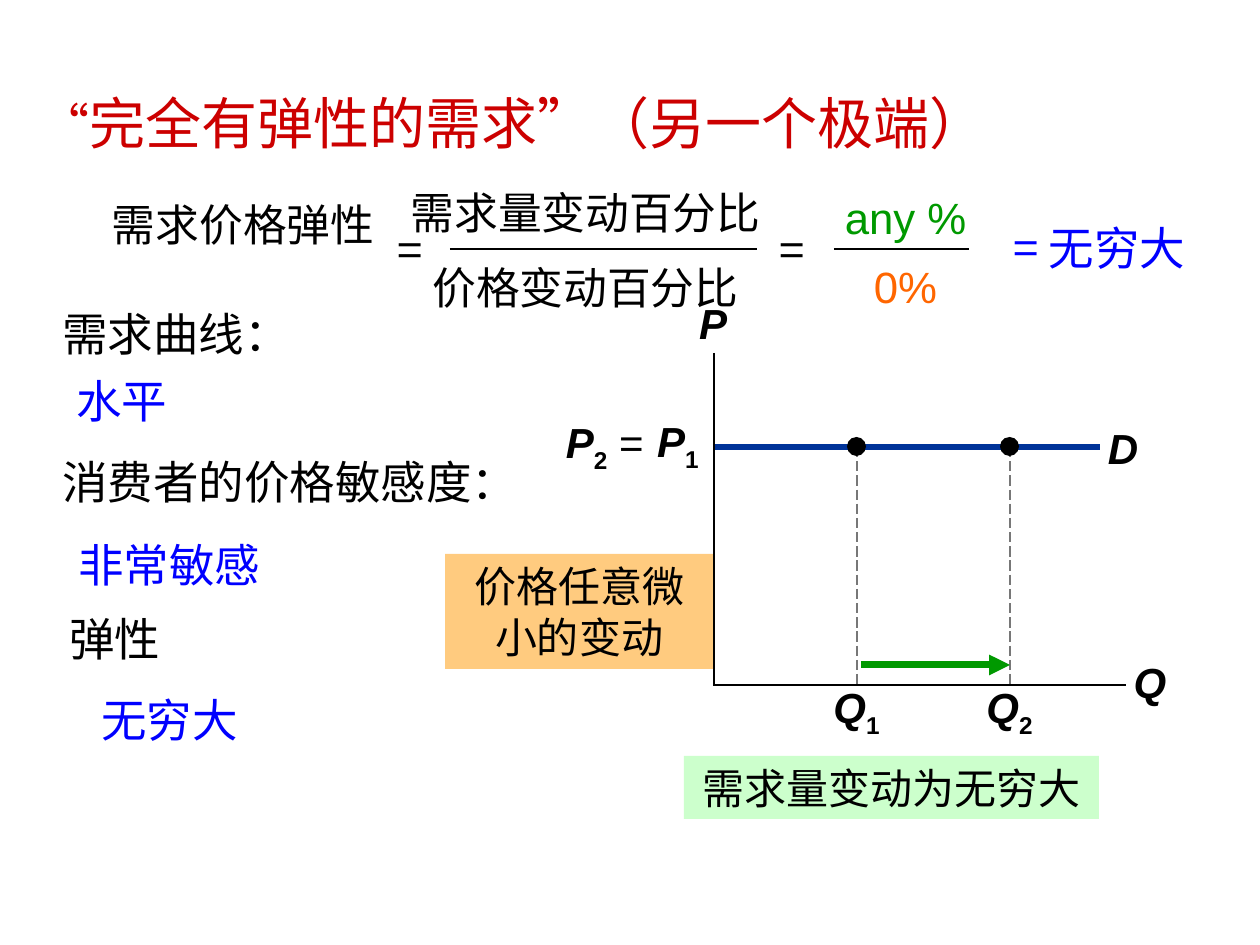
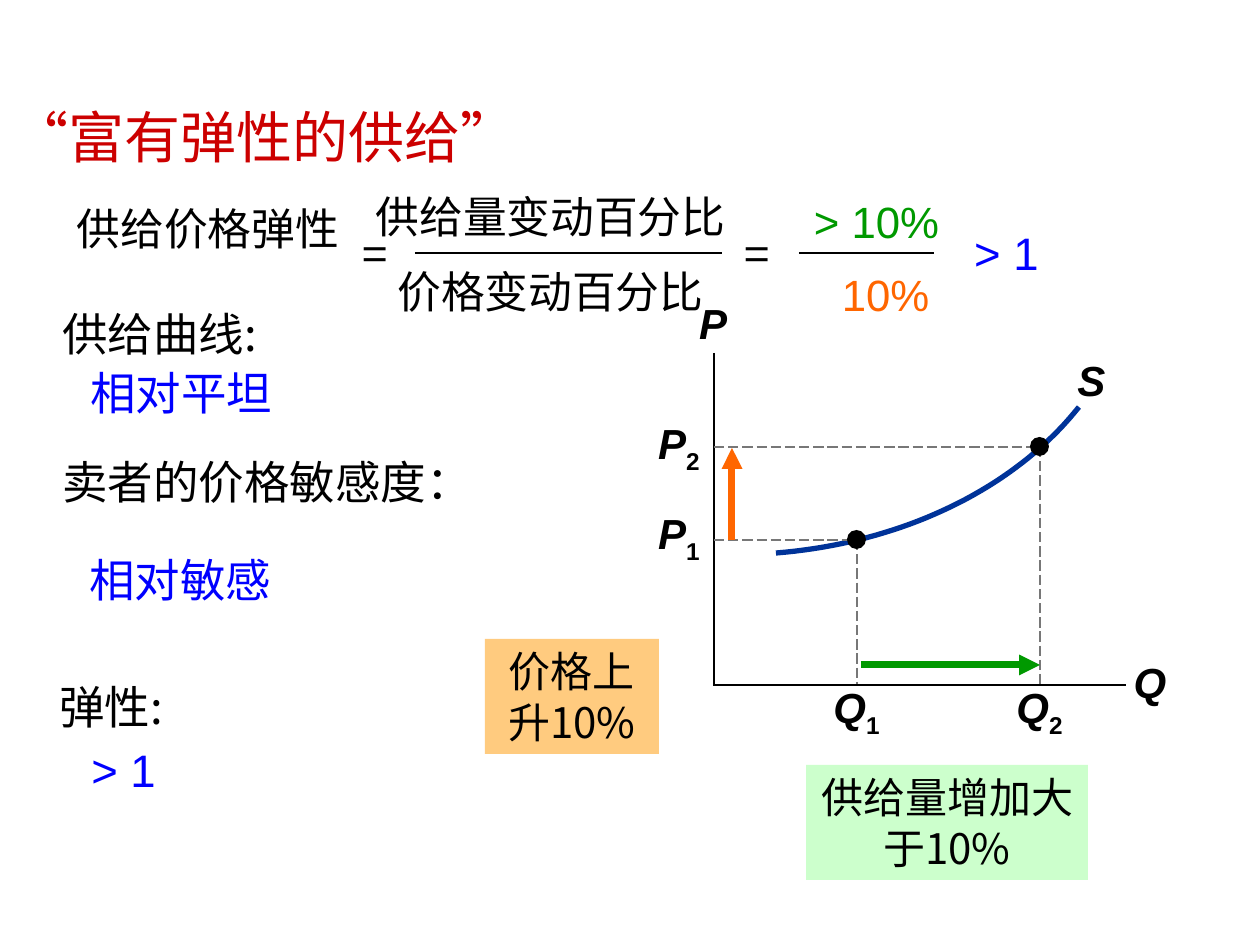
from dataclasses import dataclass

from lxml.etree import SubElement
from pptx import Presentation
from pptx.dml.color import RGBColor
from pptx.enum.dml import MSO_LINE_DASH_STYLE as Dash
from pptx.enum.shapes import MSO_CONNECTOR as Link, MSO_SHAPE as Preset
from pptx.enum.text import MSO_ANCHOR as Anchor, PP_ALIGN as Align
from pptx.oxml.ns import qn
from pptx.util import Emu, Pt

SCALE = 914400 / 126
LATIN = "Arial"
CHINESE = "Noto Sans CJK SC"
BLACK, WHITE, GREY = "000000", "FFFFFF", "777777"
RED, BLUE, NAVY = "CC0000", "0000FF", "003399"
GREEN, ORANGE = "009900", "FF6600"
MINT, AMBER = "CCFFCC", "FF9900"
LINE_HEIGHT = 1.215
AXIS_X, AXIS_Y = 714, 685
QUANTITY_ARROW_Y = 665


@dataclass
class Span:
    text: str
    size: float = 24
    font: str = LATIN
    color: str = BLACK
    bold: bool = False
    italic: bool = False
    baseline: int = 0


@dataclass
class Box:
    x: int
    y: int
    width: int
    height: int


@dataclass
class Caption:
    text: str
    box: Box
    color: str = BLACK
    font: str = CHINESE


@dataclass
class Point:
    x: int
    y: int


def px(length: float) -> Emu:
    return Emu(round(length * SCALE))


def rgb(color: str) -> RGBColor:
    return RGBColor.from_string(color)


def place(box: Box) -> tuple:
    return px(box.x), px(box.y), px(box.width), px(box.height)


def write(frame, paragraphs: list, align=Align.CENTER, leading: float = 1,
          anchor=Anchor.TOP, before: float = 0) -> None:
    frame.word_wrap = True
    frame.vertical_anchor = anchor
    for index, spans in enumerate(paragraphs):
        para = frame.paragraphs[0] if index == 0 else frame.add_paragraph()
        para.alignment = align
        para.line_spacing = Pt(round(max(span.size for span in spans) * LINE_HEIGHT * leading, 1))
        if index:
            para.space_before = Pt(before)
        for span in spans:
            run = para.add_run()
            run.text = span.text
            font = run.font
            font.name, font.size = span.font, Pt(span.size)
            font.bold, font.italic = span.bold, span.italic
            font.color.rgb = rgb(span.color)
            properties = run._r.get_or_add_rPr()
            SubElement(properties, qn("a:ea")).set("typeface", span.font)
            if span.baseline:
                properties.set("baseline", str(span.baseline * 1000))


def add_text(page, text: str, box: Box, *, size: float = 26, font: str = CHINESE,
             color: str = BLACK, **layout) -> None:
    frame = page.shapes.add_textbox(*place(box)).text_frame
    lines = [[Span(line, size, font, color)] for line in text.split("\n")]
    write(frame, lines, **layout)


def add_symbol(page, letter: str, box: Box, index: str = "", tail: str = "",
               align=Align.CENTER) -> None:
    spans = [Span(letter, bold=True, italic=True)]
    if index:
        spans.append(Span(index, bold=True, baseline=-25))
    if tail:
        spans.append(Span(tail))
    write(page.shapes.add_textbox(*place(box)).text_frame, [spans], align=align)


def add_line(page, start: Point, end: Point, *, color: str = BLACK, width: float = 1,
             dashed: bool = False, arrow: bool = False) -> None:
    line = page.shapes.add_connector(Link.STRAIGHT, px(start.x), px(start.y), px(end.x), px(end.y))
    line.line.color.rgb = rgb(color)
    line.line.width = Pt(width)
    if dashed:
        line.line.dash_style = Dash.LONG_DASH
    if arrow:
        SubElement(line.line._get_or_add_ln(), qn("a:tailEnd")).set("type", "triangle")
    SubElement(line._element.spPr, qn("a:effectLst"))


def add_guide(page, start: Point, end: Point) -> None:
    add_line(page, start, end, color=GREY, width=0.75, dashed=True)


def add_change(page, start: Point, end: Point, color: str) -> None:
    add_line(page, start, end, color=color, width=4, arrow=True)


def add_filled(page, preset, box: Box, color: str, opacity: int = 100):
    shape = page.shapes.add_shape(preset, *place(box))
    shape.shadow.inherit = False
    shape.fill.solid()
    shape.fill.fore_color.rgb = rgb(color)
    shape.line.fill.background()
    if opacity < 100:
        tint = shape._element.spPr.find(qn("a:solidFill"))[0]
        SubElement(tint, qn("a:alpha")).set("val", str(opacity * 1000))
    return shape


def add_dot(page, center: Point) -> None:
    add_filled(page, Preset.OVAL, Box(center.x - 10, center.y - 10, 19, 19), BLACK)


def add_note(page, text: str, box: Box, color: str, opacity: int = 100) -> None:
    shape = add_filled(page, Preset.RECTANGLE, box, color, opacity)
    write(shape.text_frame, [[Span(text, font=CHINESE)]])


def add_title(page, spans: list, x: int, y: int) -> None:
    frame = page.shapes.add_textbox(*place(Box(x, y, 1171, 86))).text_frame
    write(frame, [spans], align=Align.LEFT, anchor=Anchor.MIDDLE)


def add_axes(page) -> None:
    add_line(page, Point(AXIS_X, 353), Point(AXIS_X, AXIS_Y))
    add_line(page, Point(AXIS_X - 1, AXIS_Y), Point(1126, AXIS_Y))
    add_symbol(page, "P", Box(665, 291, 96, 63))
    add_symbol(page, "Q", Box(1102, 650, 96, 63))


def add_formula(page, subject: str, x: int, y: int) -> None:
    add_text(page, f"{subject}价格弹性", Box(x, y, 314, 63), size=25, leading=0.95)
    add_text(page, f"{subject}量变动百分比\n价格变动百分比", Box(x + 279, y - 14, 441, 145),
             size=25, before=12.5)
    for sign_x in (x + 293, x + 675):
        add_text(page, "=", Box(sign_x, y + 22, 63, 67))
    for left, right in ((364, 671), (748, 883)):
        add_line(page, Point(x + left, y + 56), Point(x + right, y + 56))


def add_values(page, top: Caption, bottom: Caption, result: Caption) -> None:
    for caption, size in ((top, 25), (bottom, 25), (result, 26)):
        add_text(page, caption.text, caption.box, size=size, font=caption.font,
                 color=caption.color)


def add_captions(page, captions: list) -> None:
    for caption in captions:
        add_text(page, caption.text, caption.box, font=caption.font, color=caption.color,
                 align=Align.LEFT, leading=1.05)


def add_curve(page, controls: list, steps: int = 40) -> None:
    a, b, c, d = controls

    def blend(t: float, axis: str) -> int:
        u = 1 - t
        weights = (u ** 3, 3 * u * u * t, 3 * u * t * t, t ** 3)
        return px(sum(w * getattr(point, axis) for w, point in zip(weights, (a, b, c, d))))

    points = [(blend(i / steps, "x"), blend(i / steps, "y")) for i in range(steps + 1)]
    builder = page.shapes.build_freeform(*points[0])
    builder.add_line_segments(points[1:], close=False)
    curve = builder.convert_to_shape()
    curve.shadow.inherit = False
    curve.fill.background()
    curve.line.color.rgb = rgb(NAVY)
    curve.line.width = Pt(3)


def build_demand(page) -> None:
    price_y = 447
    add_line(page, Point(AXIS_X - 1, price_y), Point(1100, price_y), color=NAVY, width=3)
    add_symbol(page, "D", Box(1082, 416, 82, 63))
    add_axes(page)
    add_symbol(page, "P", Box(622, 416, 89, 63), "1", align=Align.RIGHT)
    add_symbol(page, "P", Box(544, 417, 112, 63), "2", " =", align=Align.RIGHT)
    for index, x in (("1", 857), ("2", 1010)):
        add_symbol(page, "Q", Box(x - 41, 682, 81, 63), index)
        add_guide(page, Point(x, price_y), Point(x, AXIS_Y - 1))
        add_dot(page, Point(x, price_y))
    add_change(page, Point(861, QUANTITY_ARROW_Y), Point(1010, QUANTITY_ARROW_Y), GREEN)
    add_values(page, Caption("any %", Box(825, 184, 161, 66), GREEN, LATIN),
               Caption("0%", Box(825, 253, 161, 66), ORANGE, LATIN),
               Caption("= 无穷大", Box(976, 213, 247, 68), BLUE))
    add_title(page, [Span("“", 28, CHINESE, RED),
                     Span("完全有弹性的需求”（另一个极端）", 32, CHINESE, RED)], 28, 79)
    add_formula(page, "需求", 86, 193)
    add_note(page, "价格任意微小的变动", Box(445, 554, 268, 115), AMBER, 50)
    add_note(page, "需求量变动为无穷大", Box(684, 756, 415, 63), MINT)
    add_captions(page, [
        Caption("需求曲线：", Box(50, 296, 330, 73)),
        Caption("水平", Box(64, 363, 399, 73), BLUE),
        Caption("消费者的价格敏感度：", Box(50, 444, 467, 134)),
        Caption("非常敏感", Box(66, 527, 362, 68), BLUE),
        Caption("弹性", Box(57, 601, 223, 74)),
        Caption("无穷大", Box(89, 682, 252, 74), BLUE),
    ])


def build_supply(page) -> None:
    add_curve(page, [Point(1079, 407), Point(1014, 489), Point(902, 543), Point(776, 553)])
    add_symbol(page, "S", Box(1048, 348, 87, 63))
    add_axes(page)
    for index, point, label_y in (("1", Point(857, 540), 508), ("2", Point(1040, 447), 418)):
        add_symbol(page, "Q", Box(point.x - 41, 682, 81, 63), index)
        add_symbol(page, "P", Box(629, label_y, 83, 63), index, align=Align.RIGHT)
        add_guide(page, point, Point(point.x, AXIS_Y - 1))
        add_guide(page, Point(AXIS_X, point.y), point)
        add_dot(page, point)
    add_change(page, Point(732, 540), Point(732, 448), ORANGE)
    add_change(page, Point(861, QUANTITY_ARROW_Y), Point(1040, QUANTITY_ARROW_Y), GREEN)
    add_values(page, Caption("> 10%", Box(796, 188, 161, 66), GREEN, LATIN),
               Caption("10%", Box(805, 261, 161, 66), ORANGE, LATIN),
               Caption("> 1", Box(959, 218, 95, 67), BLUE, LATIN))
    add_title(page, [Span("“富有弹性的供给”", 32, CHINESE, RED)], 0, 93)
    add_formula(page, "供给", 51, 197)
    add_note(page, "供给量增加大于10%", Box(806, 765, 282, 115), MINT)
    add_note(page, "价格上升10%", Box(485, 639, 174, 115), AMBER, 50)
    add_captions(page, [
        Caption("供给曲线:", Box(50, 296, 344, 73)),
        Caption("相对平坦", Box(78, 355, 399, 73), BLUE),
        Caption("卖者的价格敏感度：", Box(50, 444, 467, 134)),
        Caption("相对敏感", Box(77, 542, 362, 68), BLUE),
        Caption("弹性:", Box(47, 669, 223, 74)),
        Caption("> 1", Box(79, 732, 252, 74), BLUE, LATIN),
    ])


def main() -> None:
    deck = Presentation()
    deck.slide_width, deck.slide_height = px(1260), px(945)
    for build in (build_demand, build_supply):
        page = deck.slides.add_slide(deck.slide_layouts[6])
        page.background.fill.solid()
        page.background.fill.fore_color.rgb = rgb(WHITE)
        build(page)
    deck.save("out.pptx")


if __name__ == "__main__":
    main()
